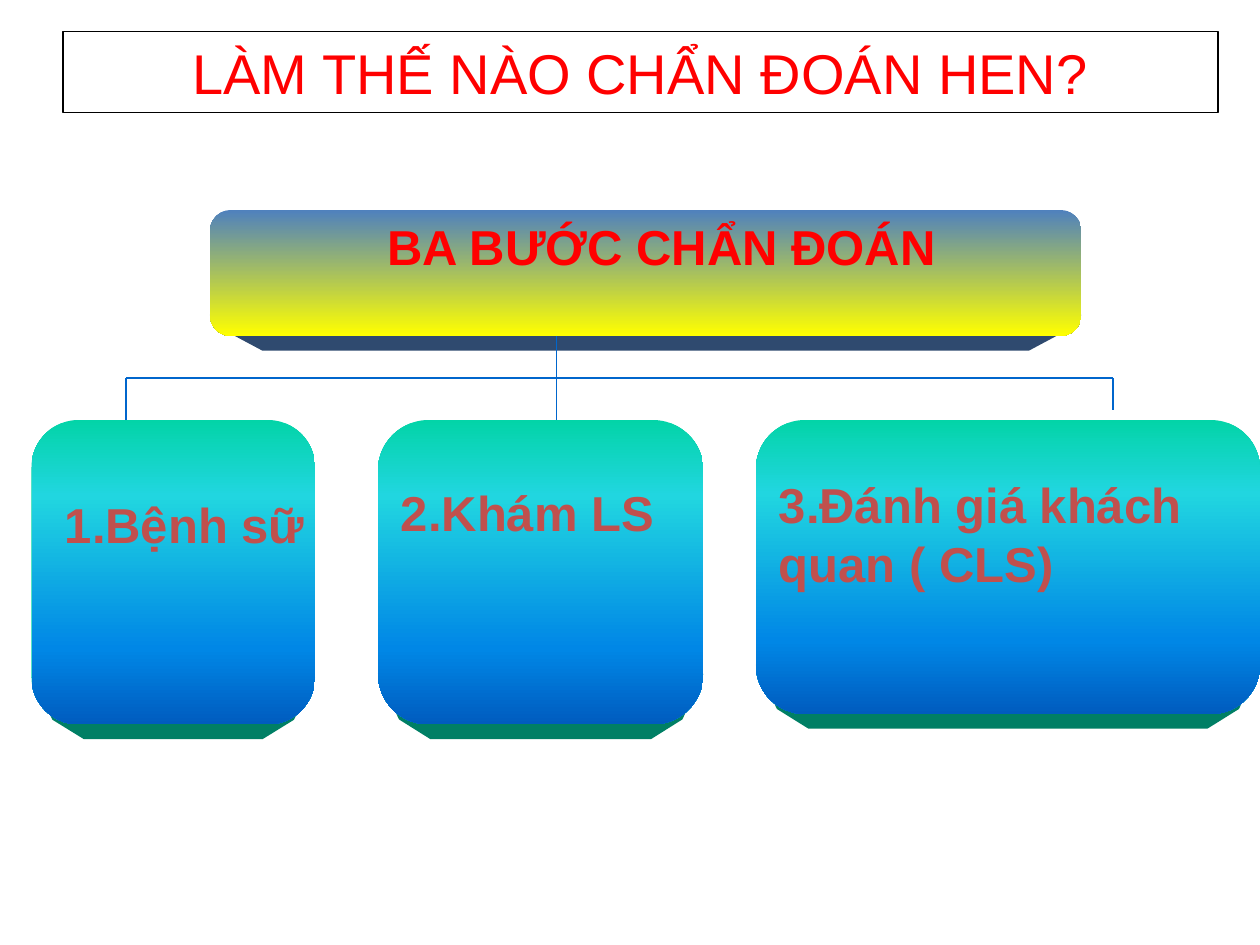
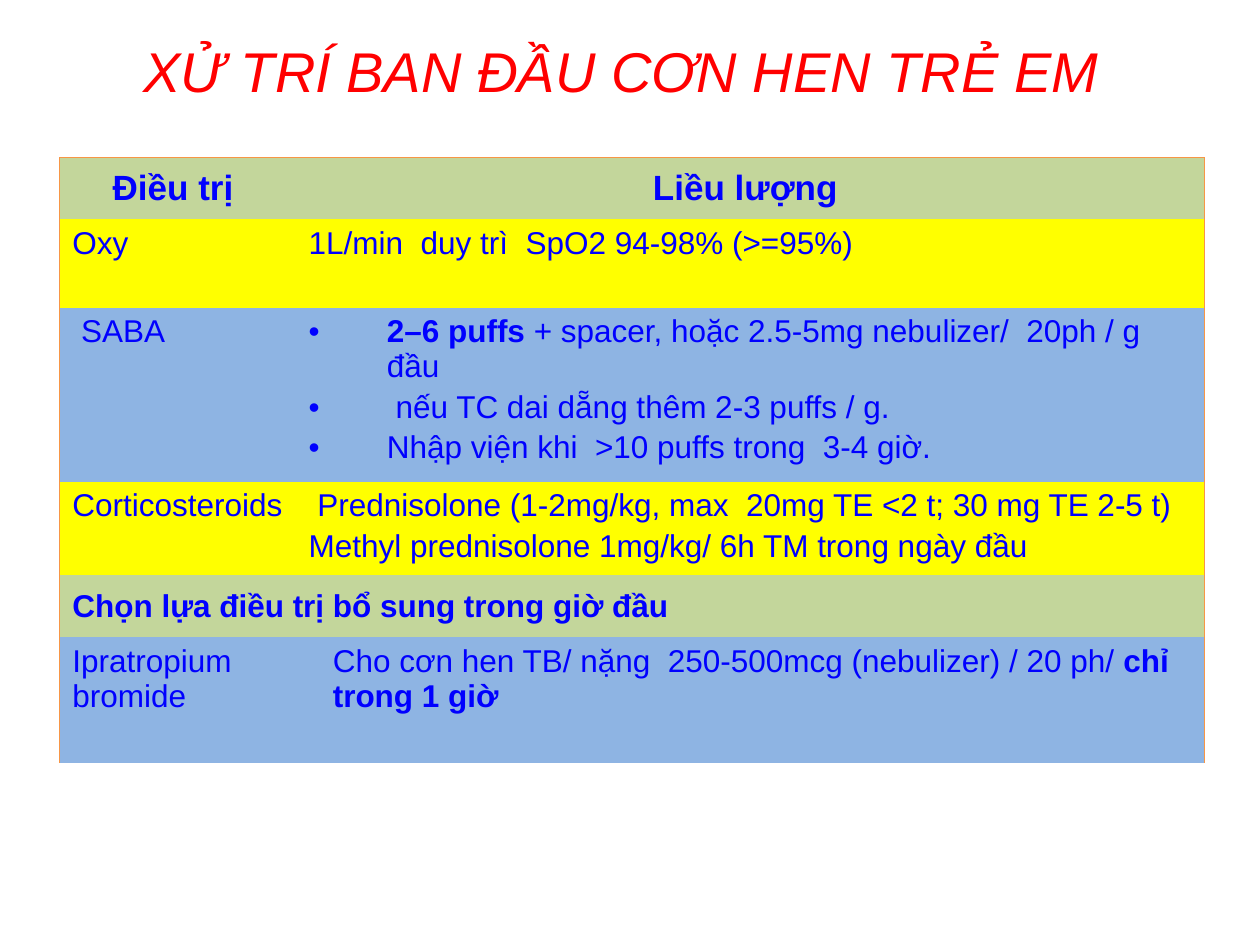
from dataclasses import dataclass

from lxml import etree
from pptx import Presentation
from pptx import util as u
from pptx.dml.color import RGBColor
from pptx.enum import shapes, text
from pptx.oxml.ns import qn


@dataclass(frozen=True)
class Theme:
    font: str = "Arial"
    red: str = "FF0000"
    label: str = "C0504D"
    black: str = "000000"
    connector: str = "0066CC"
    table_text: str = "0000FF"
    table_border: str = "F79646"
    green: str = "C3D69B"
    yellow: str = "FFFF00"
    blue: str = "8EB4E3"
    banner_side: str = "2F4A6F"
    step_side: str = "007F65"
    banner_stops: tuple = ((0, "4F81BD"), (100, "FFFF00"))
    step_stops: tuple = ((0, "03D4A8"), (25, "21D6E0"), (75, "0087E6"), (100, "005CBF"))
    title_size: int = 32
    label_size: int = 28
    header_size: int = 20
    body_size: int = 18


THEME = Theme()
COLUMNS, ROWS = 120, 90  # slide grid, twelve cells to the inch
PLAIN_TABLE_STYLE = "{2D5ABB26-0587-4C30-8999-92F81FD0307C}"


def grid(cells):
    return u.Inches(cells / 12)


def place(*cells):
    return [grid(value) for value in cells]


def format_font(font, size, color, bold=False, italic=False):
    font.name, font.size = THEME.font, u.Pt(size)
    font.bold, font.italic = bold, italic
    font.color.rgb = RGBColor.from_string(color)


# Titles and labels
def add_title_slide(presentation, title, area, italic=False, framed=False):
    slide = presentation.slides.add_slide(presentation.slide_layouts[5])
    shape = slide.shapes.title
    shape.left, shape.top, shape.width, shape.height = place(*area)
    frame = shape.text_frame
    frame.text = title
    frame.auto_size = text.MSO_AUTO_SIZE.NONE
    frame.vertical_anchor = text.MSO_ANCHOR.MIDDLE
    frame.margin_top = frame.margin_bottom = u.Inches(0.05)
    paragraph = frame.paragraphs[0]
    paragraph.alignment = text.PP_ALIGN.CENTER
    format_font(paragraph.runs[0].font, THEME.title_size, THEME.red, italic=italic)
    if framed:
        shape.line.color.rgb = RGBColor.from_string(THEME.black)
        shape.line.width = u.Pt(0.75)
    return slide


def add_label(slide, wording, area, color, alignment=text.PP_ALIGN.LEFT):
    frame = slide.shapes.add_textbox(*place(*area)).text_frame
    frame.word_wrap = True
    frame.text = wording
    paragraph = frame.paragraphs[0]
    paragraph.alignment = alignment
    format_font(paragraph.runs[0].font, THEME.label_size, color, bold=True)


# Raised blocks and lines of the diagram
def fill_gradient(shape, stops):
    shape.fill.gradient()
    shape.fill.gradient_angle = 270
    stop_list = shape.element.spPr.find(qn("a:gradFill")).find(qn("a:gsLst"))
    for old_stop in list(stop_list):
        stop_list.remove(old_stop)
    for percent, color in stops:
        stop = etree.SubElement(stop_list, qn("a:gs"), pos=str(percent * 1000))
        etree.SubElement(stop, qn("a:srgbClr"), val=color)


def add_raised_block(slide, area, stops, side_color):
    left, top, width, height = area
    right, bottom, corner = left + width, top + height, min(width, height) / 6
    profile = [(0, bottom - corner), (2, bottom - 0.1 * corner), (5, bottom + 1.4)]
    outline = [(left + inset, y) for inset, y in profile]
    outline += [(right - inset, y) for inset, y in reversed(profile)]
    points = [place(*point) for point in outline]
    builder = slide.shapes.build_freeform(*points[0])
    builder.add_line_segments(points[1:], close=True)
    side = builder.convert_to_shape()
    side.fill.solid()
    side.fill.fore_color.rgb = RGBColor.from_string(side_color)
    face = slide.shapes.add_shape(
        shapes.MSO_SHAPE.FLOWCHART_ALTERNATE_PROCESS, *place(*area))
    fill_gradient(face, stops)
    for shape in (side, face):
        shape.line.fill.background()
        shape.shadow.inherit = False


def add_line(slide, start, end):
    line = slide.shapes.add_connector(
        shapes.MSO_CONNECTOR.STRAIGHT, *place(*start, *end))
    line.line.color.rgb = RGBColor.from_string(THEME.connector)
    line.line.width = u.Pt(0.75)
    etree.SubElement(line.element.spPr, qn("a:effectLst"))


# Table cells
def add_border(cell, side):
    properties = cell._tc.get_or_add_tcPr()
    border = etree.Element(qn(f"a:ln{side}"), w=str(u.Pt(0.5)))
    fill = etree.SubElement(border, qn("a:solidFill"))
    etree.SubElement(fill, qn("a:srgbClr"), val=THEME.table_border)
    position = sum(child.tag.endswith(("lnL", "lnR", "lnT")) for child in properties)
    properties.insert(position, border)


def add_bullet(paragraph):
    properties = paragraph._p.get_or_add_pPr()
    indent = u.Inches(0.62)
    properties.set("marL", str(indent))
    properties.set("indent", str(-indent))
    etree.SubElement(properties, qn("a:buFont"), typeface=THEME.font)
    etree.SubElement(properties, qn("a:buChar"), char="•")


def write_cell(cell, lines, header=False, bulleted=False):
    """Write one paragraph per line; parts between asterisks are bold."""
    frame = cell.text_frame
    for index, line in enumerate(lines):
        paragraph = frame.add_paragraph() if index else frame.paragraphs[0]
        if bulleted:
            add_bullet(paragraph)
        if index:
            paragraph.space_before = u.Pt(3)
        if header:
            paragraph.alignment = text.PP_ALIGN.CENTER
        for part_index, part in enumerate(line.split("*")):
            if part:
                run = paragraph.add_run()
                run.text = part
                size = THEME.header_size if header else THEME.body_size
                format_font(run.font, size, THEME.table_text, bold=part_index % 2 == 1)


def add_treatment_table(slide, left, top, widths, rows):
    heights = [row[0] for row in rows]
    table = slide.shapes.add_table(
        len(rows), len(widths), *place(left, top, sum(widths), sum(heights))).table
    table.first_row = table.horz_banding = False
    table._tbl.tblPr.find(qn("a:tableStyleId")).text = PLAIN_TABLE_STYLE
    for column, width in zip(table.columns, widths):
        column.width = grid(width)
    last = len(widths) - 1
    for row_index, (height, color, middle, entries) in enumerate(rows):
        table.rows[row_index].height = grid(height)
        header = row_index == 0
        for first, end, lines in entries:
            cell = table.cell(row_index, first)
            if end > first:
                cell.merge(table.cell(row_index, end))
            write_cell(cell, lines, header, bulleted=len(lines) > 2)
        for column_index in range(last + 1):
            cell = table.cell(row_index, column_index)
            cell.fill.solid()
            cell.fill.fore_color.rgb = RGBColor.from_string(color)
            cell.margin_top = cell.margin_bottom = u.Inches(0.08 if header else 0.05)
            cell.margin_right = u.Inches(0.1 if header or column_index else 0.03)
            if middle:
                cell.vertical_anchor = text.MSO_ANCHOR.MIDDLE
            span = cell.span_width if cell.is_merge_origin else 1
            if column_index == 0:
                add_border(cell, "L")
            if column_index + span > last:
                add_border(cell, "R")
            if header:
                add_border(cell, "T")


# Slides
def build_diagnosis_slide(presentation):
    slide = add_title_slide(
        presentation, "LÀM THẾ NÀO CHẨN ĐOÁN HEN?", (6, 3, 110, 7.7), framed=True)
    steps = [  # block area, label, label area
        ((72, 40, 48, 28), "3.Đánh giá khách quan ( CLS)", (73, 44.6, 47, 12)),
        ((36, 40, 31, 29), "2.Khám LS", (37, 45.4, 33, 7)),
        ((3, 40, 27, 29), "1.Bệnh sữ", (5, 46.5, 29, 7)),
    ]
    for block, wording, label_area in steps:
        add_raised_block(slide, block, THEME.step_stops, THEME.step_side)
        add_label(slide, wording, label_area, THEME.label)
    add_raised_block(slide, (20, 20, 83, 12), THEME.banner_stops, THEME.banner_side)
    add_label(slide, "BA BƯỚC CHẨN ĐOÁN", (24, 20, 78, 7), THEME.red,
              text.PP_ALIGN.CENTER)
    for start, end in [((12, 36), (106, 36)), ((12, 36), (12, 40)),
                       ((53, 32), (53, 40)), ((106, 36), (106, 39))]:
        add_line(slide, start, end)


def build_treatment_slide(presentation):
    slide = add_title_slide(
        presentation, "XỬ TRÍ BAN ĐẦU CƠN HEN TRẺ EM", (9.3, 2.7, 99.8, 8), italic=True)
    rows = [  # height, fill, centred vertically, (first column, last column, lines)
        (5.9, THEME.green, True, [(0, 0, ["*Điều trị *"]), (1, 2, ["*Liều lượng *"])]),
        (8.4, THEME.yellow, False, [
            (0, 0, ["Oxy"]), (1, 2, ["1L/min  duy trì  SpO2 94-98% (>=95%)"])]),
        (16.6, THEME.blue, False, [(0, 0, [" SABA"]), (1, 2, [
            "*2–6 puffs* + spacer, hoặc 2.5-5mg nebulizer/  20ph / g đầu",
            " nếu TC dai dẵng thêm 2-3 puffs / g.",
            "Nhập viện khi  >10 puffs trong  3-4 giờ."])]),
        (8.9, THEME.yellow, False, [(0, 0, ["Corticosteroids"]), (1, 2, [
            " Prednisolone (1-2mg/kg, max  20mg TE <2 t; 30 mg TE 2-5 t)",
            "Methyl prednisolone 1mg/kg/ 6h TM trong ngày đầu"])]),
        (5.9, THEME.green, True, [(0, 2, ["*Chọn lựa điều trị bổ sung trong giờ đầu*"])]),
        (12, THEME.blue, False, [(0, 1, ["Ipratropium bromide"]), (2, 2, [
            "Cho cơn hen TB/ nặng  250-500mcg (nebulizer) / 20 ph/ *chỉ trong 1 giờ*"])]),
    ]
    add_treatment_table(slide, 5.7, 15, (22.5, 2.3, 84.2), rows)


def main():
    presentation = Presentation()
    presentation.slide_width, presentation.slide_height = place(COLUMNS, ROWS)
    build_diagnosis_slide(presentation)
    build_treatment_slide(presentation)
    presentation.save("out.pptx")


if __name__ == "__main__":
    main()
